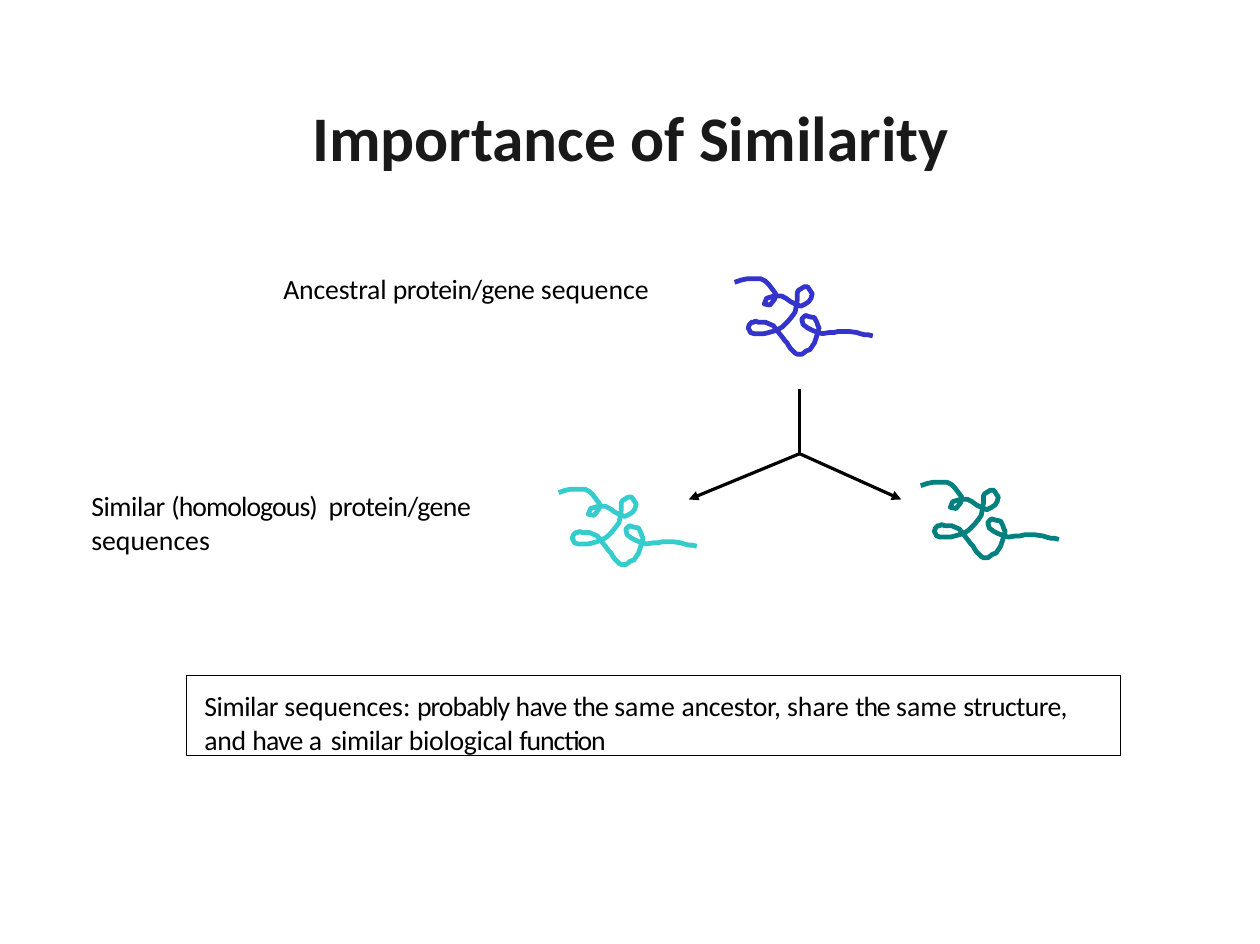
from lxml import etree
from pptx import Presentation
from pptx.dml.color import RGBColor
from pptx.enum.shapes import MSO_CONNECTOR, MSO_SHAPE
from pptx.enum.text import MSO_ANCHOR, PP_ALIGN
from pptx.oxml.ns import qn
from pptx.util import Inches, Pt

STRAIGHT = MSO_CONNECTOR.STRAIGHT
RECTANGLE = MSO_SHAPE.RECTANGLE
TOP = MSO_ANCHOR.TOP
LEFT, CENTER = PP_ALIGN.LEFT, PP_ALIGN.CENTER

WIDTH, HEIGHT = Inches(11.03), Inches(8.26)
FONT = "Calibri"
BODY_SIZE = 17.5
COLORS = {
    "title": "191919", "text": "000000", "line": "010101",
    "ancestor": "3434CC", "left": "34CCCC", "right": "018080",
}

# Outline of the folded chain, in hundredths of an inch
CHAIN = [
    (0, 3), (6, 1), (11, 0), (16, 0), (23, 0), (27, 2), (30, 5), (33, 9),
    (36, 13), (35, 18), (31, 23), (26, 22), (28, 17), (35, 15), (41, 15),
    (45, 17), (49, 20), (53, 22), (58, 24), (62, 22), (65, 20), (67, 17),
    (68, 13), (66, 10), (64, 7), (61, 7), (56, 10), (55, 12), (55, 18),
    (54, 24), (53, 29), (51, 32), (47, 37), (42, 42), (37, 45), (30, 47),
    (26, 48), (17, 48), (14, 47), (13, 45), (12, 43), (13, 40), (14, 39),
    (15, 38), (17, 38), (18, 37), (21, 38), (27, 38), (34, 41), (37, 45),
    (41, 50), (44, 54), (46, 56), (47, 58), (49, 61), (51, 63), (53, 65),
    (55, 66), (59, 66), (63, 63), (66, 62), (70, 56), (72, 50), (73, 46),
    (74, 43), (73, 41), (72, 38), (70, 34), (65, 33), (62, 32), (61, 33),
    (60, 34), (59, 35), (59, 36), (60, 40), (64, 43), (68, 45), (73, 47),
    (77, 48), (83, 47), (87, 47), (91, 46), (95, 46), (100, 46), (107, 47),
    (110, 48), (114, 49), (117, 49), (121, 50),
]

# Each paragraph is a list of (text, letter spacing in points)
TITLE = [[("Importance of Similarity", 0)]]
ANCESTRAL = [[("Ancestral ", -0.1), ("protein/gene ", -0.3), ("sequence", 0)]]
HOMOLOGOUS = [
    [("Similar ", -0.3), ("(homologous)", -0.6), (" ", 2.8),
     ("protein/gene", -0.3)],
    [("sequences", 0)],
]
CONCLUSION = [[
    ("Similar ", -0.3), ("sequences: ", 0), ("probably ", -0.6),
    ("have ", -0.4), ("the ", -0.6), ("same ", 0.1), ("ancestor, ", -0.2),
    ("share ", 0), ("the ", -0.7), ("same ", 0.1), ("structure, ", -0.4),
    ("and ", -0.2), ("have ", -0.5), ("a ", 0.7), ("similar ", -0.3),
    ("biological ", -0.2), ("function", -0.7),
]]


def col(n):
    """Horizontal length in hundredths of the slide width."""
    return round(WIDTH * n / 100)


def row(n):
    """Vertical length in hundredths of the slide height."""
    return round(HEIGHT * n / 100)


def rgb(name):
    return RGBColor.from_string(COLORS[name])


def style_line(line, color, width):
    line.color.rgb = rgb(color)
    line.width = Pt(width)


def fill_text(sp, paragraphs, inset, size=BODY_SIZE, color="text",
              bold=False, align=LEFT):
    tf = sp.text_frame
    tf.word_wrap = True
    tf.vertical_anchor = TOP
    tf.margin_left, tf.margin_top, tf.margin_right = map(Inches, inset)
    tf.margin_bottom = 0
    for i, runs in enumerate(paragraphs):
        p = tf.add_paragraph() if i else tf.paragraphs[0]
        p.alignment = align
        for text, spacing in runs:
            r = p.add_run()
            r.text = text
            r.font.name, r.font.size, r.font.bold = FONT, Pt(size), bold
            r.font.color.rgb = rgb(color)
            r.font._element.set("spc", str(round(spacing * 100)))


def add_text(s, x, y, w, h, paragraphs, **style):
    sp = s.shapes.add_textbox(col(x), row(y), col(w), row(h))
    fill_text(sp, paragraphs, **style)


def add_frame(s, x, y, w, h, paragraphs, **style):
    sp = s.shapes.add_shape(RECTANGLE, col(x), row(y), col(w), row(h))
    sp.shadow.inherit = False
    sp.fill.background()
    style_line(sp.line, "line", 0.75)
    fill_text(sp, paragraphs, **style)


def add_chain(s, x, y, color):
    builder = s.shapes.build_freeform(*CHAIN[0], scale=Inches(0.01))
    builder.add_line_segments(CHAIN[1:], close=False)
    sp = builder.convert_to_shape(col(x), row(y))
    sp.shadow.inherit = False
    sp.fill.background()
    style_line(sp.line, color, 3)


def add_line(s, start, end, arrow=False):
    (x1, y1), (x2, y2) = start, end
    sp = s.shapes.add_connector(STRAIGHT, col(x1), row(y1), col(x2), row(y2))
    style_line(sp.line, "line", 2)
    if arrow:
        etree.SubElement(sp.line._get_or_add_ln(), qn("a:tailEnd"),
                         type="triangle")
    etree.SubElement(sp._element.spPr, qn("a:effectLst"))


def main():
    prs = Presentation()
    prs.slide_width, prs.slide_height = WIDTH, HEIGHT
    s = prs.slides.add_slide(prs.slide_layouts[6])

    # Title
    add_text(s, 15.32, 10.17, 69.36, 7.38, TITLE, inset=(0.01, 0.02, 0),
             size=40, color="title", bold=True, align=CENTER)

    # Ancestor and its two descendants
    add_chain(s, 58.3, 29.54, "ancestor")
    add_chain(s, 44.33, 51.82, "left")
    add_chain(s, 73.07, 51.09, "right")

    # Branching arrows
    fork = (63.46, 48.06)
    add_line(s, (63.46, 41.16), fork)
    for tip in (54.67, 71.53):
        add_line(s, fork, (tip, 52.91), arrow=True)

    # Labels
    add_text(s, 6.07, 51.69, 33.82, 10.9, HOMOLOGOUS, inset=(0.13, 0.01, 0))
    add_text(s, 16.05, 28.69, 51.22, 3.75, ANCESTRAL, inset=(0.71, 0.01, 0))

    # Conclusion
    add_frame(s, 14.78, 71.55, 74.16, 8.47, CONCLUSION,
              inset=(0.16, 0.12, 0.3))

    prs.save("out.pptx")


if __name__ == "__main__":
    main()
